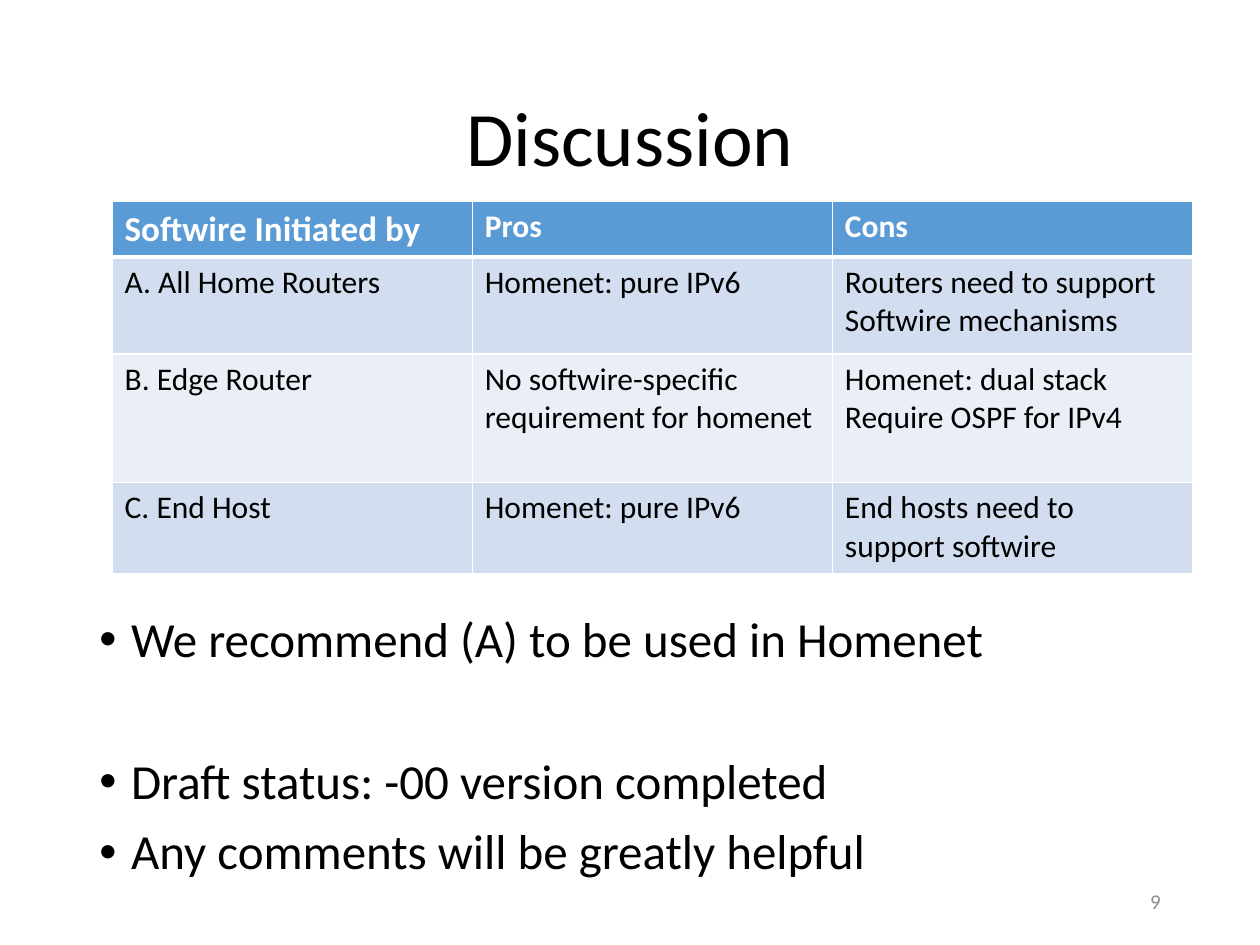
from lxml import etree
from pptx import Presentation
from pptx.dml.color import RGBColor
from pptx.enum import text
from pptx.oxml import ns
from pptx.util import Cm, Pt

HEADER = ["Softwire Initiated by ", "Pros", "Cons"]
OPTIONS = [
    ["A. All Home Routers", "Homenet: pure IPv6",
     "Routers need to support Softwire mechanisms"],
    ["B. Edge Router", "No softwire-specific requirement for homenet",
     "Homenet: dual stack\nRequire OSPF for IPv4"],
    ["C. End Host", "Homenet: pure IPv6",
     "End hosts need to support softwire"],
]
ROW_HEIGHTS = [1.12, 1.96, 2.59, 1.83]
COLUMN_WIDTH = 7.26
# Each bullet with its space before, in points
BULLETS = [
    ("We recommend (A) to be used in Homenet", 10),
    ("Draft status: -00 version completed", 51),
    ("Any comments will be greatly helpful", 10),
]


def color(value):
    """Turn a hex string into a colour."""
    return RGBColor.from_string(value)


class SlideBuilder:
    """Holds the style and the current slide."""

    font = "Calibri"
    ink, paper, muted = "000000", "FFFFFF", "8C8C8C"
    accent, bands = "5B9BD5", ("D2DEEF", "EAEFF7")

    def __init__(self, deck):
        """Add a title and content slide to the deck."""
        self.page = deck.slides.add_slide(deck.slide_layouts[1])

    def place(self, shape, left, top, width, height):
        """Move and size a shape, in centimetres."""
        shape.left, shape.top = Cm(left), Cm(top)
        shape.width, shape.height = Cm(width), Cm(height)

    def format(self, paragraph, size, ink, bold=False):
        """Style every run of a paragraph."""
        for span in paragraph.runs:
            span.font.name = self.font
            span.font.size = Pt(size)
            span.font.bold = bold
            span.font.color.rgb = color(ink)

    def title(self, words, *place):
        """Fill the title placeholder."""
        box = self.page.shapes.title
        self.place(box, *place)
        frame = box.text_frame
        frame.text = words
        frame.auto_size = text.MSO_AUTO_SIZE.NONE
        frame.vertical_anchor = text.MSO_ANCHOR.MIDDLE
        paragraph = frame.paragraphs[0]
        paragraph.alignment = text.PP_ALIGN.CENTER
        paragraph.line_spacing = 0.9
        self.format(paragraph, 44, self.ink)

    def bullets(self, items, *place):
        """Fill the body placeholder with a bulleted list."""
        box = self.page.placeholders[1]
        self.place(box, *place)
        frame = box.text_frame
        frame.text = "\n".join(words for words, _ in items)
        frame.auto_size = text.MSO_AUTO_SIZE.NONE
        for paragraph, (_, gap) in zip(frame.paragraphs, items):
            paragraph.line_spacing = 0.9
            paragraph.space_before = Pt(gap)
            properties = paragraph._p.get_or_add_pPr()
            properties.set("marL", str(Cm(0.64)))
            properties.set("indent", str(-Cm(0.64)))
            bullet = etree.SubElement(properties, ns.qn("a:buChar"))
            bullet.set("char", "•")
            self.format(paragraph, 28, self.ink)

    def borders(self, cell, top, bottom):
        """Draw the white rules around a cell, widths in points."""
        properties = cell._tc.get_or_add_tcPr()
        for side, width in zip("LRTB", (1, 1, top, bottom)):
            line = etree.SubElement(properties, ns.qn(f"a:ln{side}"))
            line.set("w", str(Pt(width)))
            fill = etree.SubElement(line, ns.qn("a:solidFill"))
            etree.SubElement(fill, ns.qn("a:srgbClr")).set("val", self.paper)

    def table(self, rows, heights, column_width, left, top):
        """Add a table with a header row and banded rows."""
        count = len(rows[0])
        frame = self.page.shapes.add_table(
            len(rows), count, Cm(left), Cm(top),
            Cm(column_width * count), Cm(sum(heights)))
        grid = frame.table
        for column in grid.columns:
            column.width = Cm(column_width)
        for i, (row, height) in enumerate(zip(rows, heights)):
            grid.rows[i].height = Cm(height)
            header = i == 0
            for j, words in enumerate(row):
                cell = grid.cell(i, j)
                cell.text = words
                self.borders(cell, 3 if i == 1 else 1, 3 if header else 1)
                cell.fill.solid()
                cell.fill.fore_color.rgb = color(
                    self.accent if header else self.bands[(i - 1) % 2])
                size = 20 if header and j == 0 else 18
                for paragraph in cell.text_frame.paragraphs:
                    self.format(paragraph, size,
                                self.paper if header else self.ink, header)

    def page_number(self, words, *place):
        """Add the page number, right-aligned."""
        box = self.page.shapes.add_textbox(*map(Cm, place))
        frame = box.text_frame
        frame.text = words
        frame.word_wrap = True
        frame.vertical_anchor = text.MSO_ANCHOR.MIDDLE
        frame.paragraphs[0].alignment = text.PP_ALIGN.RIGHT
        self.format(frame.paragraphs[0], 12, self.muted)


def main():
    """Build the deck and save it."""
    deck = Presentation()
    deck.slide_width, deck.slide_height = Cm(25.4), Cm(19.05)
    slide = SlideBuilder(deck)
    slide.title("Discussion", 1.75, 1.02, 21.9, 3.68)
    slide.bullets(BULLETS, 1.75, 12.27, 21.9, 5.99)
    slide.table([HEADER] + OPTIONS, ROW_HEIGHTS, COLUMN_WIDTH, 2.26, 4.06)
    slide.page_number("9", 17.93, 17.65, 5.72, 1.02)
    deck.save("out.pptx")


main()
